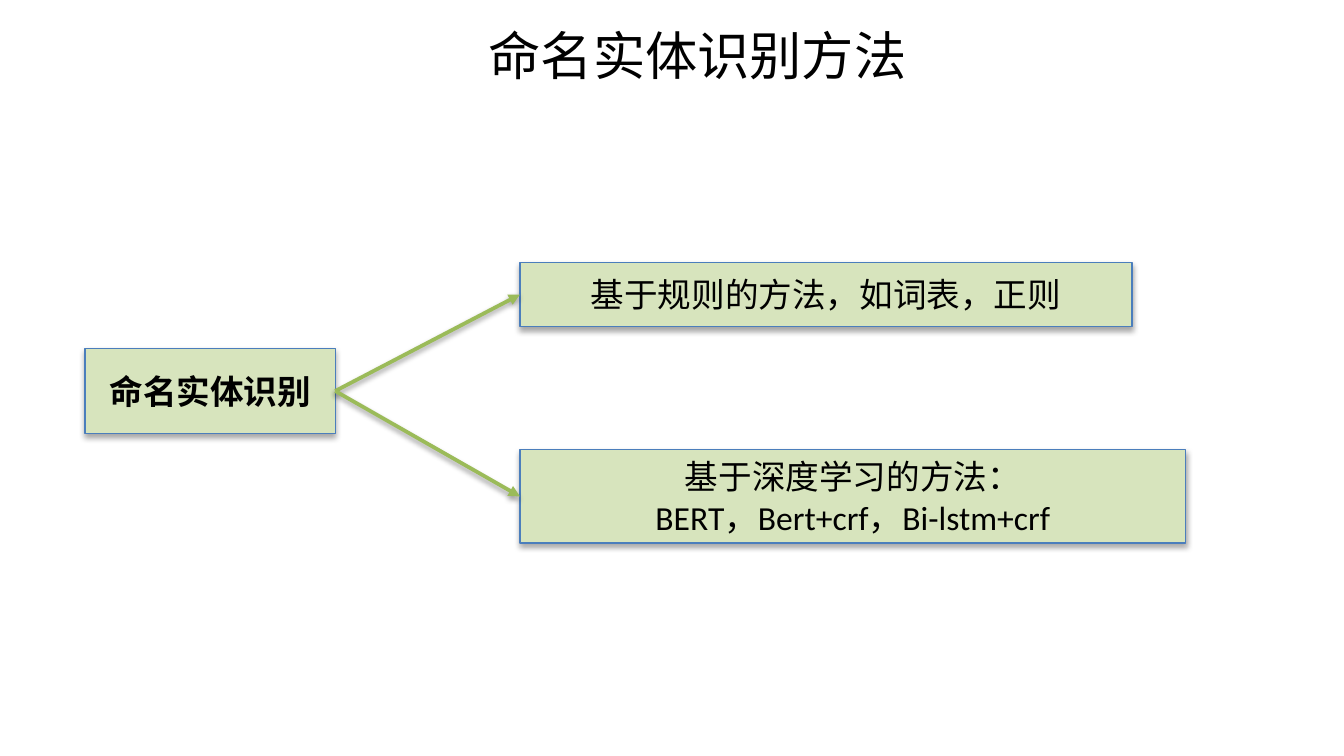
from lxml import etree
from pptx import Presentation
from pptx.dml.color import RGBColor
from pptx.enum import shapes, text
from pptx.oxml.ns import qn
from pptx.util import Pt

COLORS = {"ink": "000000", "fill": "D7E4BD", "edge": "4B7EBC", "arrow": "9BBB59"}
TITLE = ("命名实体识别方法", (112.3, 8.6, 522.7, 41))
ROOT = (["命名实体识别"], (45.6, 186.7, 134, 45.6))
METHODS = [
    (["基于规则的方法，如词表，正则"], (278.6, 140.6, 327.8, 34.4)),
    (["基于深度学习的方法：", "BERT，Bert+crf，Bi-lstm+crf"], (278.6, 241, 356.6, 50)),
]


def rgb(name):
    return RGBColor.from_string(COLORS[name])


def place(shape, area):
    for key, val in zip(("left", "top", "width", "height"), area):
        setattr(shape, key, Pt(val))


def write(frame, lines, **style):
    frame.word_wrap = True
    frame.auto_size = text.MSO_AUTO_SIZE.NONE
    frame.vertical_anchor = text.MSO_ANCHOR.MIDDLE
    frame.text = "\n".join(lines)
    for para in frame.paragraphs:
        para.alignment = text.PP_ALIGN.CENTER
        for key, val in {"name": "Calibri", **style}.items():
            setattr(para.font, key, val)
        para.font.color.rgb = rgb("ink")


def shade(shape, dist, alpha):
    """Add a soft black shadow straight below; call it after the line is set."""
    props = shape._element.spPr
    effects = etree.SubElement(props, qn("a:effectLst"))
    outer = etree.SubElement(effects, qn("a:outerShdw"), blurRad=str(Pt(3.1)),
                             dist=str(Pt(dist)), dir="5400000", rotWithShape="0")
    black = etree.SubElement(outer, qn("a:srgbClr"), val=COLORS["ink"])
    etree.SubElement(black, qn("a:alpha"), val=str(alpha * 1000))


def add_box(slide, lines, area, bold=False):
    box = slide.shapes.add_shape(shapes.MSO_SHAPE.RECTANGLE, *map(Pt, area))
    box.fill.solid()
    box.fill.fore_color.rgb = rgb("fill")
    box.line.color.rgb = rgb("edge")
    box.line.width = Pt(0.75)
    shade(box, 1.8, 35)
    write(box.text_frame, lines, size=Pt(18), bold=bold)
    return box


def add_arrow(slide, start, end):
    arrow = slide.shapes.add_connector(shapes.MSO_CONNECTOR.STRAIGHT, 0, 0, 0, 0)
    arrow.begin_connect(start, 3)
    arrow.end_connect(end, 1)
    arrow.line.color.rgb = rgb("arrow")
    arrow.line.width = Pt(2)
    etree.SubElement(arrow.line._get_or_add_ln(), qn("a:tailEnd"), type="triangle")
    shade(arrow, 1.6, 38)


def main():
    deck = Presentation()
    deck.slide_width, deck.slide_height = Pt(720), Pt(405)
    slide = deck.slides.add_slide(deck.slide_layouts[5])
    title, area = TITLE
    place(slide.shapes.title, area)
    write(slide.shapes.title.text_frame, [title], size=Pt(28))
    root = add_box(slide, *ROOT, bold=True)
    boxes = [add_box(slide, *method) for method in METHODS]
    for box in boxes:
        add_arrow(slide, root, box)
    deck.save("out.pptx")


if __name__ == "__main__":
    main()
